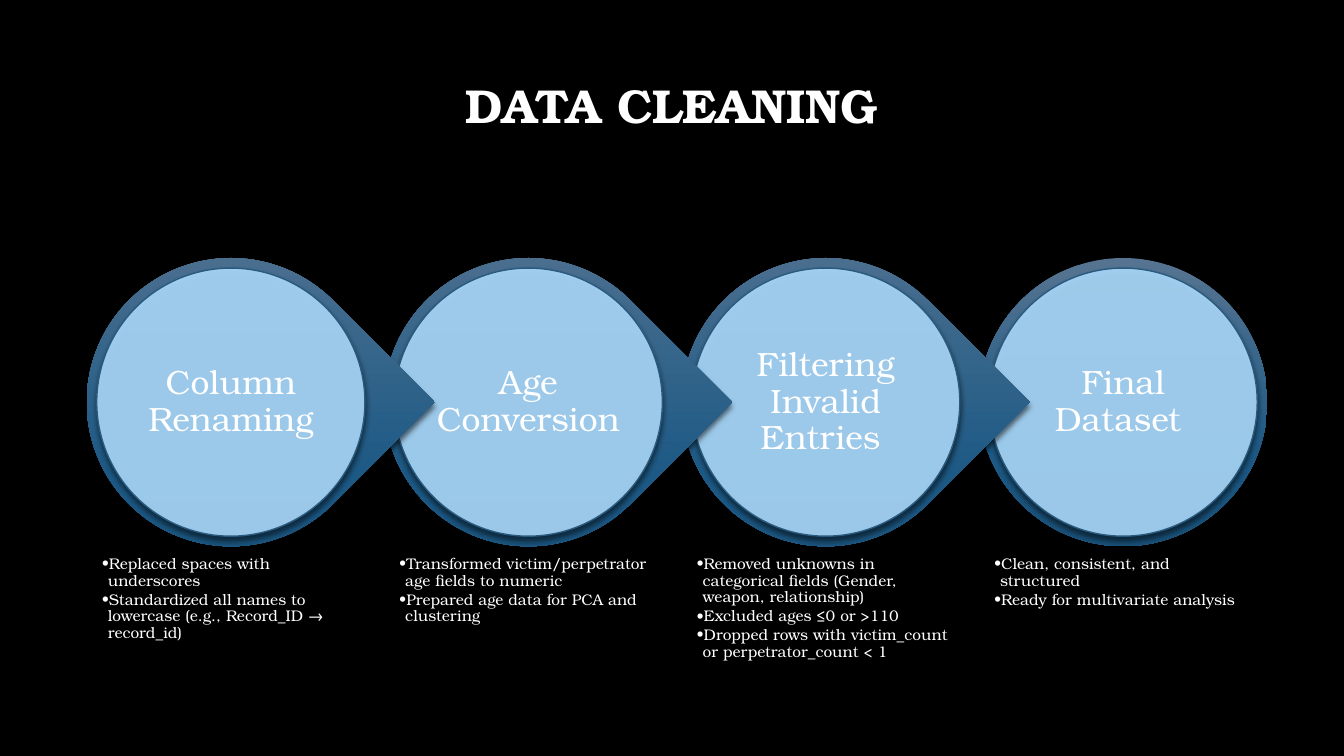
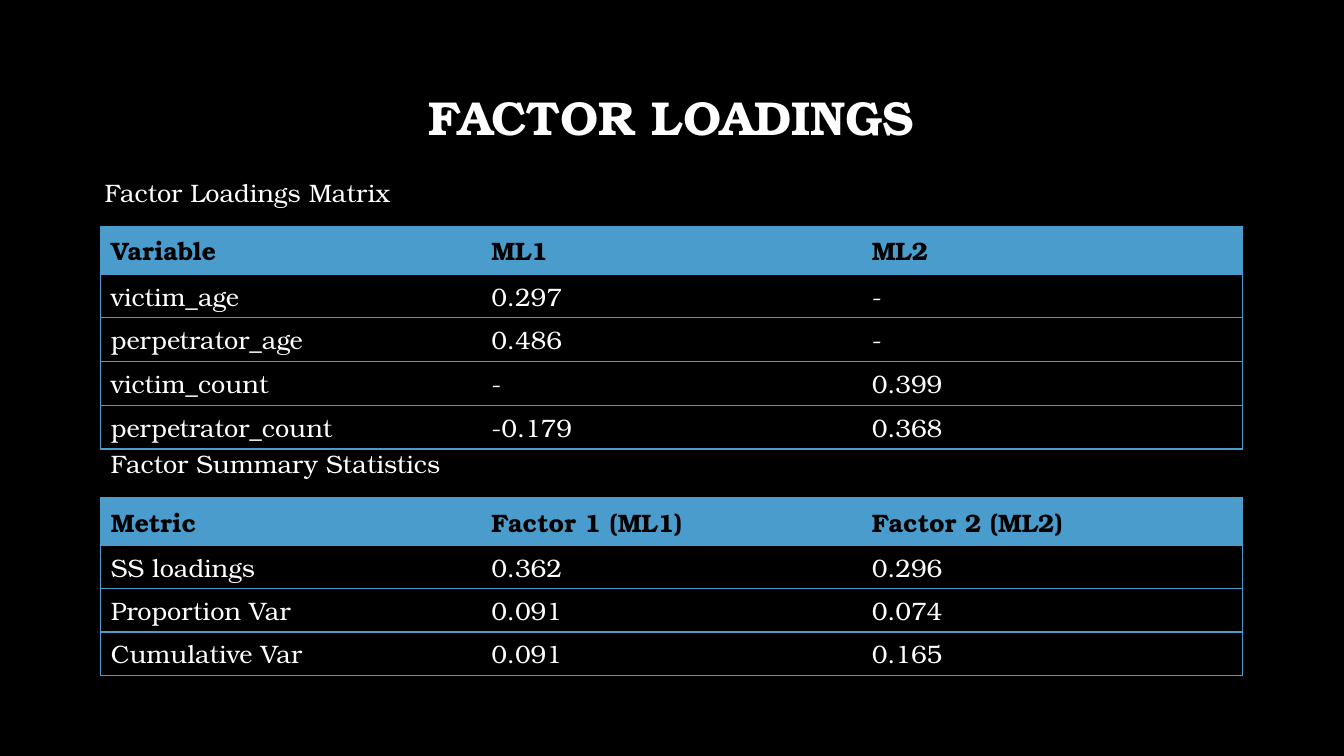
from copy import deepcopy

from pptx import Presentation
from pptx import util as u
from pptx.dml.color import RGBColor
from pptx.enum import shapes, text
from pptx.oxml import parse_xml
from pptx.oxml.ns import nsdecls, qn

FONT = "TeX Gyre Bonum"
COLORS = {
    "background": "000000",
    "text": "FFFFFF",
    "header_text": "000000",
    "accent": "4A9CCC",
    "disc": "ABDAFC",
    "disc_line": "2A5B7F",
    "shadow": "000000",
}
RING_STOPS = [(0, "567491"), (0.69, "1C5985"), (1, "195179")]

STEPS = [
    ("Column Renaming", [
        "Replaced spaces with underscores",
        "Standardized all names to lowercase (e.g., Record_ID → record_id)",
    ]),
    ("Age Conversion ", [
        "Transformed victim/perpetrator age fields to numeric",
        "Prepared age data for PCA and clustering",
    ]),
    ("Filtering Invalid Entries ", [
        "Removed unknowns in categorical fields (Gender, weapon, relationship)",
        "Excluded ages ≤0 or >110",
        "Dropped rows with victim_count or perpetrator_count < 1",
    ]),
    ("Final Dataset ", [
        "Clean, consistent, and structured",
        "Ready for multivariate analysis",
    ]),
]

LOADINGS = [
    ("Variable", "ML1", "ML2"),
    ("victim_age", "0.297", "-"),
    ("perpetrator_age", "0.486", "-"),
    ("victim_count", "-", "0.399"),
    ("perpetrator_count", "-0.179", "0.368"),
]
SUMMARY = [
    ("Metric", "Factor 1 (ML1)", "Factor 2 (ML2)"),
    ("SS loadings", "0.362", "0.296"),
    ("Proportion Var", "0.091", "0.074"),
    ("Cumulative Var", "0.091", "0.165"),
]
TABLES = [
    ("Factor Loadings Matrix", 0.94, 1.71, LOADINGS, 2.25),
    ("Factor Summary Statistics", 1, 4.4, SUMMARY, 4.94),
]

LEFT, WIDTH = 1, 11.32
RING_LEFT, RING_TOP, RING_SIZE, RING_STEP = 0.86, 2.56, 2.86, 2.95
DISC_INSET, DISC_SIZE = 0.1, 2.66
LABEL_INSET, LABEL_SIZE = 0.48, 1.9
NOTES_TOP, NOTES_HEIGHT = 5.47, 1.57
HEADER_HEIGHT, ROW_HEIGHT = 0.47, 0.43


def rgb(name):
    return RGBColor.from_string(COLORS[name])


def inches(*values):
    return [u.Inches(v) for v in values]


def style_text(tf, size, color="text", bold=False, align=None, spacing=None):
    for p in tf.paragraphs:
        p.alignment = align
        p.line_spacing = spacing
        for r in p.runs:
            r.font.name = FONT
            r.font.size = u.Pt(size)
            r.font.bold = bold
            r.font.color.rgb = rgb(color)


def add_slide(prs, title, title_height):
    s = prs.slides.add_slide(prs.slide_layouts[5])
    sp = s.shapes.title
    sp.left, sp.top, sp.width, sp.height = inches(LEFT, 0.67, WIDTH, title_height)
    tf = sp.text_frame
    tf.text = title
    tf.vertical_anchor = text.MSO_ANCHOR.MIDDLE
    style_text(tf, 34, bold=True, align=text.PP_ALIGN.CENTER, spacing=0.9)
    return s


def add_text(s, box, content, inset=None):
    tf = s.shapes.add_textbox(*inches(*box)).text_frame
    tf.word_wrap = True
    tf.text = content
    if inset is not None:
        tf.margin_left = tf.margin_right = u.Inches(inset)
        tf.margin_top = tf.margin_bottom = u.Inches(inset)
    return tf


def add_shadow(sp):
    sp.shadow.inherit = False
    sp._element.spPr.find(qn("a:effectLst")).append(parse_xml(
        f'<a:outerShdw {nsdecls("a")} blurRad="{u.Pt(4)}" dist="{u.Pt(3)}" '
        f'dir="5400000" rotWithShape="0"><a:srgbClr val="{COLORS["shadow"]}">'
        '<a:alpha val="54000"/></a:srgbClr></a:outerShdw>'))


def add_ring(s, left, is_last):
    kind = shapes.MSO_SHAPE.OVAL if is_last else shapes.MSO_SHAPE.TEAR
    sp = s.shapes.add_shape(kind, *inches(left, RING_TOP, RING_SIZE, RING_SIZE))
    if not is_last:
        sp.rotation = 45
        sp.adjustments[0] = 1
    sp.fill.gradient()
    sp.fill.gradient_angle = 270
    grad = sp._element.spPr.find(qn("a:gradFill"))
    grad.set("rotWithShape", "0")
    stops = grad.find(qn("a:gsLst"))
    stops.append(deepcopy(stops[0]))
    for stop, (position, color) in zip(sp.fill.gradient_stops, RING_STOPS):
        stop.position = position
        stop.color.rgb = RGBColor.from_string(color)
    sp.line.fill.background()
    add_shadow(sp)


def add_disc(s, left, top):
    sp = s.shapes.add_shape(shapes.MSO_SHAPE.OVAL, *inches(left, top, DISC_SIZE, DISC_SIZE))
    sp.fill.solid()
    sp.fill.fore_color.rgb = rgb("disc")
    color = sp._element.spPr.find(qn("a:solidFill"))[0]
    color.append(parse_xml(f'<a:alpha {nsdecls("a")} val="90000"/>'))
    sp.line.color.rgb = rgb("disc_line")
    sp.line.width = u.Pt(1)
    add_shadow(sp)


def add_notes(s, left, notes):
    tf = add_text(s, (left, NOTES_TOP, DISC_SIZE, NOTES_HEIGHT), "\n".join(notes), 0.05)
    style_text(tf, 11, spacing=0.9)
    for p in tf.paragraphs:
        p.level = 1
        p.space_after = u.Pt(1.65)
        pPr = p._p.get_or_add_pPr()
        pPr.set("marL", str(u.Inches(0.06)))
        pPr.set("indent", str(-u.Inches(0.06)))
        pPr.append(parse_xml(f'<a:buFont {nsdecls("a")} typeface="{FONT}"/>'))
        pPr.append(parse_xml(f'<a:buChar {nsdecls("a")} char="•"/>'))


def add_step(s, index, label, notes):
    left = RING_LEFT + index * RING_STEP
    add_ring(s, left, index == len(STEPS) - 1)
    add_disc(s, left + DISC_INSET, RING_TOP + DISC_INSET)
    box = (left + LABEL_INSET, RING_TOP + LABEL_INSET, LABEL_SIZE, LABEL_SIZE)
    tf = add_text(s, box, label, 0.03)
    tf.vertical_anchor = text.MSO_ANCHOR.MIDDLE
    style_text(tf, 24, align=text.PP_ALIGN.CENTER, spacing=0.9)
    add_notes(s, left + DISC_INSET, notes)


def set_borders(cell, first, last):
    visible = {"lnL": first, "lnR": last, "lnT": True, "lnB": True}
    for side, shown in visible.items():
        fill = (f'<a:solidFill><a:srgbClr val="{COLORS["accent"]}"/></a:solidFill>'
                if shown else "<a:noFill/>")
        cell._tc.get_or_add_tcPr().append(parse_xml(
            f'<a:{side} {nsdecls("a")} w="{u.Pt(1)}">{fill}</a:{side}>'))


def add_table(s, rows, top):
    n_cols = len(rows[0])
    height = HEADER_HEIGHT + ROW_HEIGHT * (len(rows) - 1)
    box = inches(LEFT, top, WIDTH, height)
    table = s.shapes.add_table(len(rows), n_cols, *box).table
    table.first_row = table.horz_banding = False
    for i, row in enumerate(rows):
        table.rows[i].height = u.Inches(ROW_HEIGHT if i else HEADER_HEIGHT)
        for j, value in enumerate(row):
            cell = table.cell(i, j)
            cell.text = value
            set_borders(cell, j == 0, j == n_cols - 1)
            if i == 0:
                cell.fill.solid()
                cell.fill.fore_color.rgb = rgb("accent")
            else:
                cell.fill.background()
            style_text(cell.text_frame, 18, "text" if i else "header_text", bold=i == 0)


def main():
    prs = Presentation()
    prs.slide_width, prs.slide_height = inches(13.33, 7.5)
    fill = prs.slide_master.background.fill
    fill.solid()
    fill.fore_color.rgb = rgb("background")

    s = add_slide(prs, "DATA CLEANING", 0.8)
    for index, (label, notes) in reversed(list(enumerate(STEPS))):
        add_step(s, index, label, notes)

    s = add_slide(prs, "FACTOR LOADINGS", 1.05)
    for caption, left, caption_top, rows, top in TABLES:
        add_table(s, rows, top)
        tf = add_text(s, (left, caption_top, 6.67, 0.4), caption)
        style_text(tf, 18)

    prs.save("out.pptx")


if __name__ == "__main__":
    main()
